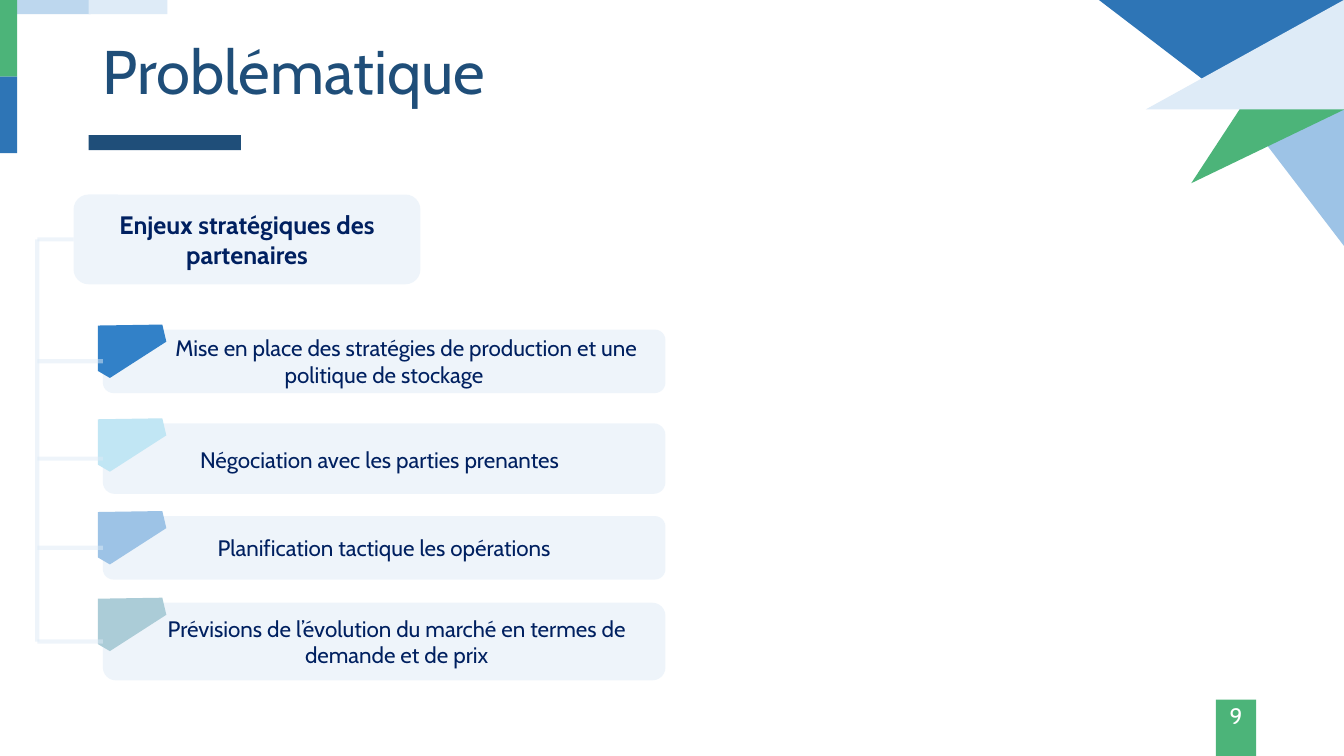
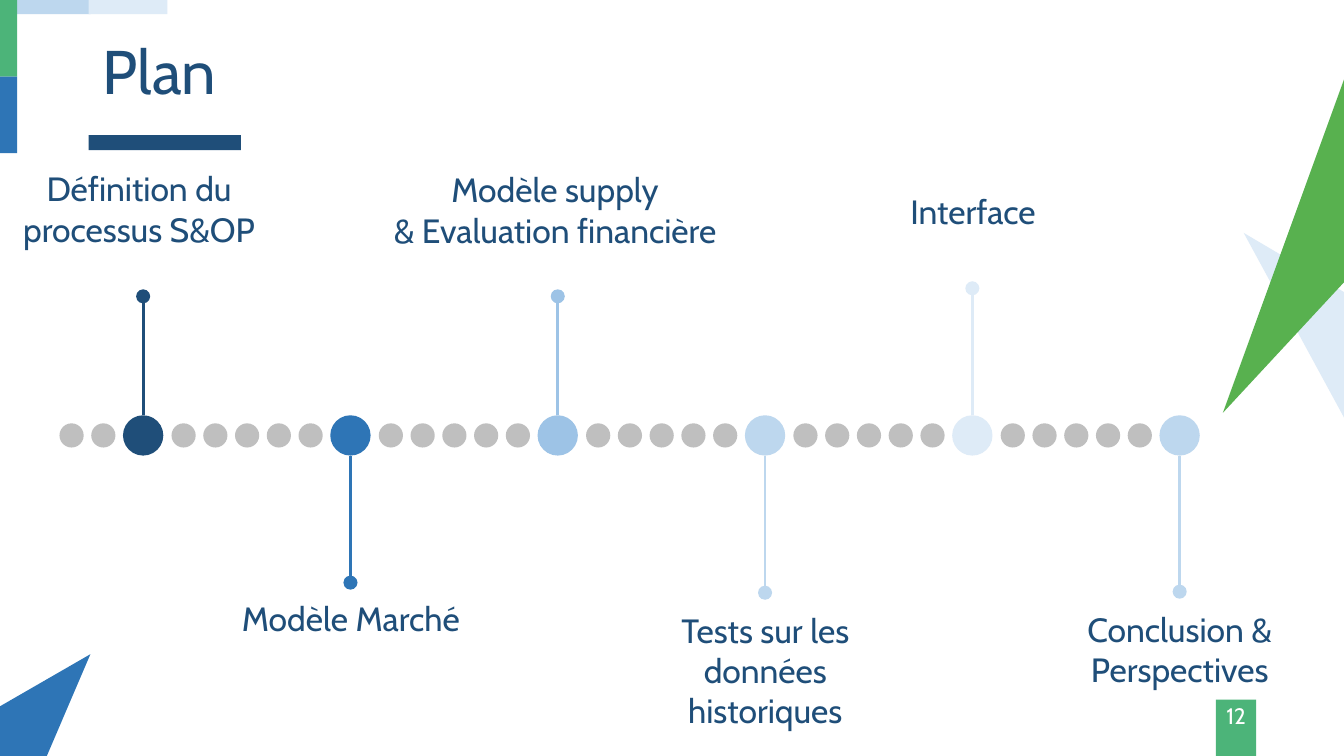
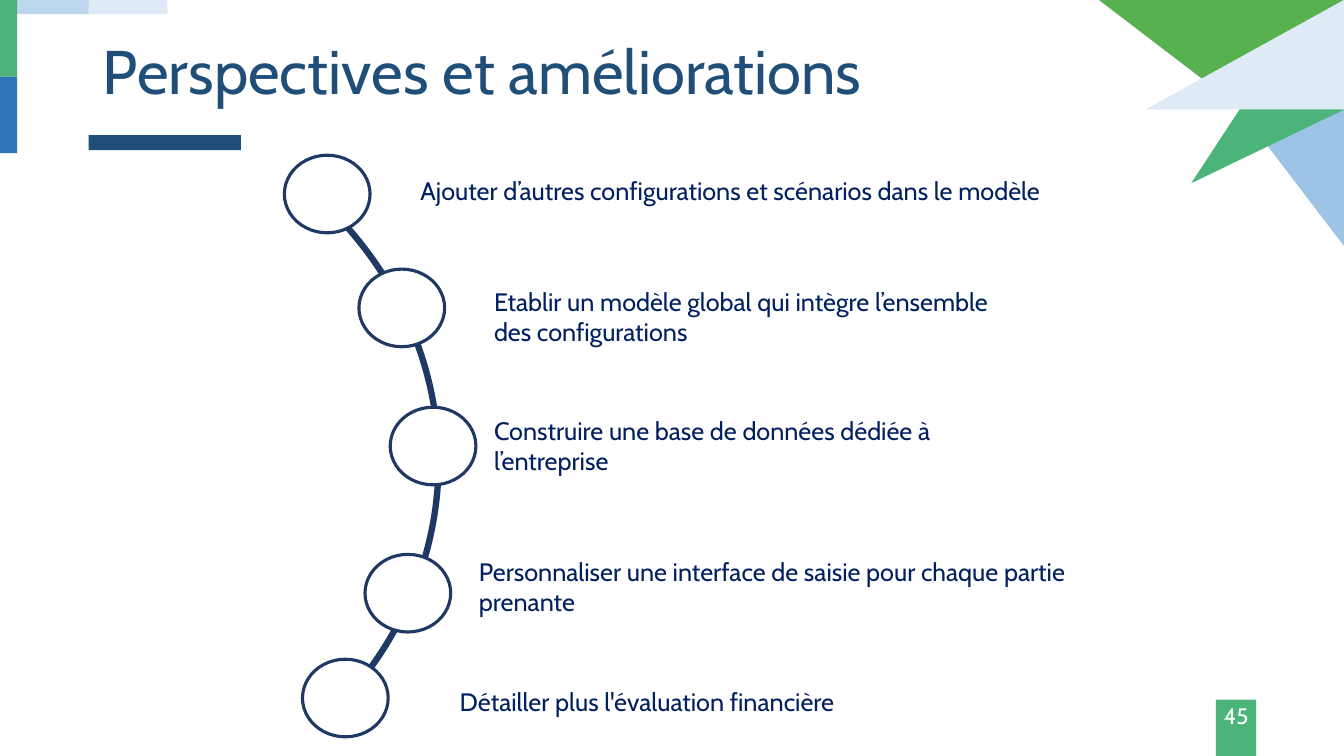
from lxml.etree import SubElement
from pptx import Presentation
from pptx.dml.color import RGBColor
from pptx.enum.shapes import MSO_CONNECTOR, MSO_SHAPE
from pptx.enum.text import MSO_ANCHOR, MSO_AUTO_SIZE, PP_ALIGN
from pptx.oxml.ns import qn
from pptx.util import Inches, Pt

FONT = "Cabin"
COLORS = {
    "navy": "1F4E79", "blue": "2E75B6", "sky": "9DC3E6", "pale": "BDD7EE",
    "ice": "DEEBF7", "green": "4CB479", "leaf": "58B14F", "gray": "BFBFBF",
    "ink": "002060", "ring": "203864", "white": "FFFFFF",
    "azure": "3281C8", "aqua": "C1E6F4", "teal": "ABCCD7",
}
CELL = Inches(0.1)  # the slide is a grid of 133.3 columns by 75 rows


def cells(*values):
    return [round(v * CELL) for v in values]


def rgb(name):
    return RGBColor.from_string(COLORS[name])


def set_alpha(shape, percent):
    for clr in shape.element.spPr.iter(qn("a:srgbClr")):
        SubElement(clr, qn("a:alpha"), val=str(percent * 1000))


def paint(sp, fill=None, line=None, width=1):
    sp.shadow.inherit = False
    if fill:
        sp.fill.solid()
        sp.fill.fore_color.rgb = rgb(fill)
    else:
        sp.fill.background()
    if line:
        sp.line.color.rgb = rgb(line)
        sp.line.width = Pt(width)
    else:
        sp.line.fill.background()
    return sp


def add_shape(slide, kind, box, **style):
    return paint(slide.shapes.add_shape(kind, *cells(*box)), **style)


def add_triangle(slide, box, fill, apex=0.5, rotation=0, flip=""):
    """Triangle whose apex sits at a share of its width; flip holds H and/or V."""
    sp = add_shape(slide, MSO_SHAPE.ISOSCELES_TRIANGLE, box, fill=fill)
    sp.adjustments[0] = apex
    sp.rotation = rotation
    for axis in flip:
        sp.element.spPr.xfrm.set("flip" + axis, "1")


def add_polygon(slide, points, fill):
    start, *rest = [cells(*point) for point in points]
    builder = slide.shapes.build_freeform(*start)
    builder.add_line_segments(rest)
    return paint(builder.convert_to_shape(), fill=fill)


def add_line(slide, start, end, color, width):
    line = slide.shapes.add_connector(MSO_CONNECTOR.STRAIGHT, *cells(*start, *end))
    line.line.color.rgb = rgb(color)
    line.line.width = Pt(width)
    SubElement(line.element.spPr, qn("a:effectLst"))
    return line


def write(sp, text, size=16, color="ink", bold=False, align=PP_ALIGN.CENTER,
          anchor=MSO_ANCHOR.MIDDLE, insets=(1, 0.5, 1, 0.5), indent=0, spacing=None):
    """Fill a shape with text, one paragraph a line; insets are left, top, right, bottom."""
    tf = sp.text_frame
    tf.word_wrap = True
    tf.auto_size = MSO_AUTO_SIZE.NONE
    tf.vertical_anchor = anchor
    tf.margin_left, tf.margin_top, tf.margin_right, tf.margin_bottom = cells(*insets)
    for i, content in enumerate(text.split("\n")):
        p = tf.add_paragraph() if i else tf.paragraphs[0]
        p.alignment = align
        if spacing:
            p.line_spacing = spacing
        if indent:
            p._p.get_or_add_pPr().set("indent", str(*cells(indent)))
        r = p.add_run()
        r.text = content
        r.font.name = FONT
        r.font.size = Pt(size)
        r.font.bold = bold
        r.font.color.rgb = rgb(color)


def add_label(slide, box, text, **style):
    write(slide.shapes.add_textbox(*cells(*box)), text, **style)


def prepare_layout(slide, layout):
    """Move the bands and the title rule to the layout, and place its title."""
    bands = [
        ((8.8, 13.4, 15.1, 1.5), "navy"),
        ((1.4, 0, 7.6, 1.4), "pale"),
        ((0, 0, 1.7, 7.6), "green"),
        ((0, 7.6, 1.7, 7.6), "blue"),
        ((8.8, 0, 7.8, 1.4), "ice"),
    ]
    for box, fill in bands:
        sp = add_shape(slide, MSO_SHAPE.RECTANGLE, box, fill=fill)
        layout.shapes.element.append(sp.element)
    for ph in list(layout.placeholders):
        if ph.placeholder_format.idx:
            ph.element.getparent().remove(ph.element)
        else:
            ph.left, ph.top, ph.width, ph.height = cells(9.2, 0.1, 115, 14.5)


def add_heading(slide, title, number):
    write(slide.shapes.title, title, size=44, color="navy", align=PP_ALIGN.LEFT, spacing=0.9)
    badge = add_shape(slide, MSO_SHAPE.RECTANGLE, (120.6, 69.4, 4, 5.6), fill="green")
    write(badge, number, color="white", anchor=MSO_ANCHOR.TOP,
          insets=(0, 0.6, 0, 0), spacing=0.9)


def add_corner(slide, fill):
    add_triangle(slide, (109, 0, 24.6, 18.8), fill, apex=0, flip="HV")
    add_triangle(slide, (122.9, 10.8, 10.7, 14), "sky", apex=1, flip="V")
    add_triangle(slide, (119.2, 3.3, 9.5, 16.9), "green", apex=0.7, rotation=54.7, flip="V")
    add_triangle(slide, (118.1, -4.6, 11, 19.9), "ice", apex=1, rotation=270, flip="H")


def add_card(slide, box, text, **style):
    card = add_shape(slide, MSO_SHAPE.ROUNDED_RECTANGLE, box, fill="ice")
    set_alpha(card, 50)
    write(card, text, **style)
    return card


def add_branch(slide, trunk_x, card):
    y = (card.top + card.height / 2) / CELL
    line = add_line(slide, (trunk_x, y), (card.left / CELL, y), "ice", 3)
    line.end_connect(card, 1)
    set_alpha(line, 50)
    return y


def add_chip(slide, x, y, fill):
    outline = [(0, 0.1), (6.4, 0), (6.8, 1.7), (1.2, 5.3), (0, 4.6)]
    add_polygon(slide, [(x + dx, y + dy) for dx, dy in outline], fill)


def add_stakes_tree(slide, x, y, head, items):
    """Head card with a trunk at x, and below it one branch for each item."""
    cards = [add_card(slide, (x + 3.6, y, 34.4, 8.9), head, size=18, bold=True)]
    for top, height, fill, text, style in items:
        cards.append(add_card(slide, (x + 6.5, y + top, 55.8, height), text, **style))
        add_chip(slide, x + 6, y + top - 0.5, fill)
    levels = [add_branch(slide, x, card) for card in cards]
    set_alpha(add_line(slide, (x, levels[0]), (x, levels[-1]), "ice", 3), 50)


def add_dot(slide, x, y, size, **style):
    add_shape(slide, MSO_SHAPE.OVAL, (x - size / 2, y - size / 2, size, size), **style)


def add_timeline(slide, x, y, width, steps):
    """Milestones at equal gaps from x, each with a stem to its label."""
    for i, (fill, stem_end, label_box, text) in enumerate(steps):
        center = x + i * width / (len(steps) - 1)
        for k in range(5 if i else 2):
            add_dot(slide, center - 3.95 - 3.15 * k, y, 2.4, fill="gray")
        add_dot(slide, center, y, 4, fill=fill)
        start = y + (2 if stem_end > 0 else -2)
        stem = add_line(slide, (center, start), (center, y + stem_end), fill, 2)
        SubElement(stem.line._get_or_add_ln(), qn("a:tailEnd"), type="oval", w="lg", len="lg")
        add_label(slide, label_box, text, size=24, color="navy", anchor=MSO_ANCHOR.TOP)


def add_arc_list(slide, x, y, items):
    """Rings along an arc whose box starts at y, with a text beside each ring."""
    arc = add_shape(slide, MSO_SHAPE.ARC, (x - 69.1, y, 84.4, 75.3), line="ring", width=4.5)
    arc.adjustments[0], arc.adjustments[1] = 194.85, 18.03
    for left, top, text_left, middle, width, text in items:
        add_shape(slide, MSO_SHAPE.OVAL, (x + left, y + top, 8.5, 7.7),
                  fill="white", line="ring", width=2.25)
        add_label(slide, (x + text_left, y + middle - 4, width, 8), text,
                  size=18, align=PP_ALIGN.LEFT, insets=(0, 0, 0, 0))


def build_issues(slide):
    add_corner(slide, "blue")
    add_heading(slide, "Problématique", "9")
    add_stakes_tree(slide, 3.7, 19.3, "Enjeux stratégiques des partenaires", [
        (13.4, 6.3, "azure", "Mise en place des stratégies de production et une "
         "politique de stockage", {"indent": 4.4}),
        (22.7, 7, "aqua", "Négociation avec les parties prenantes",
         {"insets": (4.7, 0.5, 5.6, 0.3)}),
        (31.9, 6.3, "sky", "Planification tactique les opérations", {}),
        (40.5, 7.7, "teal", "Prévisions de l’évolution du marché en termes de "
         "demande et de prix", {"insets": (5.7, 0.5, 3.2, 0.5)}),
    ])


def build_plan(slide):
    add_triangle(slide, (-9, 61.5, 18, 27), "blue", rotation=41.6)
    add_triangle(slide, (126.4, 17.3, 22, 39.7), "ice", apex=0.53, rotation=136.9, flip="V")
    add_triangle(slide, (123.7, 2.5, 16.8, 41.5), "leaf", rotation=31.4, flip="V")
    add_heading(slide, "Plan", "12")
    add_timeline(slide, 14.2, 43.2, 102.8, [
        ("navy", -13.8, (1.1, 16.2, 25.4, 9.1), "Définition du processus S&OP"),
        ("blue", 14.6, (19.8, 58.8, 30, 5), "Modèle Marché"),
        ("sky", -13.8, (37.5, 16.3, 35.1, 9.1), "Modèle supply\n& Evaluation financière"),
        ("pale", 15.6, (61.3, 60, 29.2, 13), "Tests sur les données historiques"),
        ("ice", -14.6, (86.9, 18.4, 19.2, 5), "Interface"),
        ("pale", 15.5, (102.4, 59.9, 29.2, 9.1), "Conclusion & Perspectives"),
    ])


def build_outlook(slide):
    add_corner(slide, "leaf")
    add_heading(slide, "Perspectives et améliorations", "45")
    add_arc_list(slide, 28.2, 8.2, [
        (0, 7.2, 13.5, 10.7, 70,
         "Ajouter d’autres configurations et scénarios dans le modèle"),
        (7.4, 18.5, 20.8, 23.2, 51,
         "Etablir un modèle global qui intègre l’ensemble des configurations"),
        (10.5, 32.2, 20.8, 36, 51, "Construire une base de données dédiée à l’entreprise"),
        (8, 46.8, 19.3, 50, 65,
         "Personnaliser une interface de saisie pour chaque partie prenante"),
        (1.8, 57.2, 17.4, 61.4, 50, "Détailler plus l'évaluation financière"),
    ])


def main():
    prs = Presentation()
    prs.slide_width, prs.slide_height = Inches(13.33), Inches(7.5)
    layout = prs.slide_layouts[5]
    for i, build in enumerate((build_issues, build_plan, build_outlook)):
        slide = prs.slides.add_slide(layout)
        if i == 0:
            prepare_layout(slide, layout)
        build(slide)
    prs.save("out.pptx")


if __name__ == "__main__":
    main()
